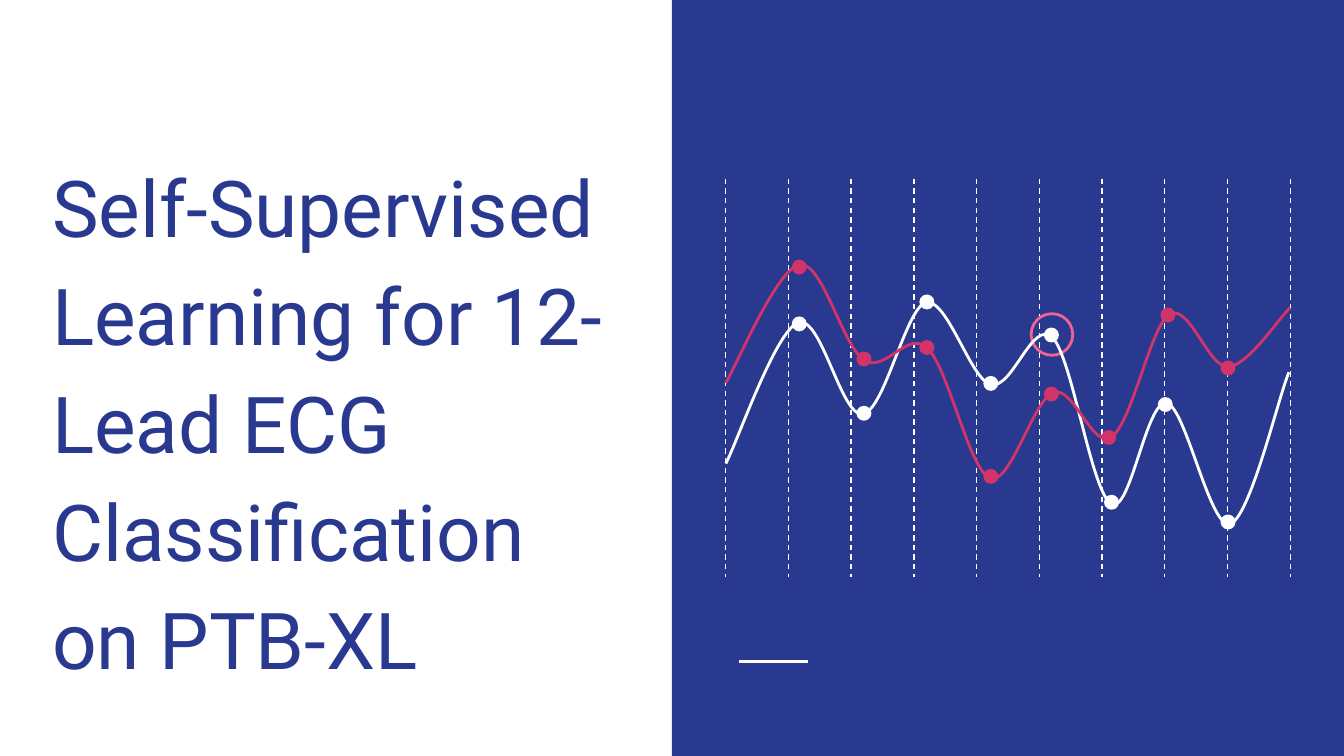
from pptx import Presentation, util as u
from pptx.dml.color import RGBColor
from pptx.enum import dml, shapes, text
from pptx.oxml import ns, xmlchemy as xml

NAVY = RGBColor(0x2A, 0x39, 0x90)
WHITE = RGBColor(0xFF, 0xFF, 0xFF)
CRIMSON = RGBColor(0xD2, 0x33, 0x69)
PINK = RGBColor(0xF0, 0x62, 0x92)

PAGE_WIDTH = 10
PAGE_HEIGHT = PAGE_WIDTH * 9 / 16
COLUMNS, ROWS = 42, 29.6
GUIDE_GAPS = 9
MARKER_SIZE, RING_SIZE = 0.09, 0.31

WHITE_CURVE = [
    (0, 21.2),
    (0.9, 19.5), (3.7, 11.3), (5.4, 10.7),
    (7.1, 10.1), (8.6, 17.8), (10.2, 17.5),
    (11.8, 17.3), (13.4, 9.6), (14.9, 9.2),
    (16.5, 8.9), (18.2, 14.9), (19.7, 15.3),
    (21.3, 15.8), (22.8, 10.4), (24.3, 11.8),
    (25.8, 13.3), (27.2, 23.4), (28.7, 24.2),
    (30.1, 25), (31.3, 16.4), (32.8, 16.7),
    (34.2, 16.9), (36, 26), (37.5, 25.7),
    (39, 25.3), (41.1, 16.3), (41.9, 14.4),
]
WHITE_MARKERS = [
    (5.47, 10.8), (10.28, 17.45), (14.96, 9.17), (19.72, 15.23),
    (24.23, 11.63), (28.7, 24.07), (32.7, 16.8), (37.37, 25.54),
]
CRIMSON_CURVE = [
    (0, 15.2),
    (0.9, 13.7), (3.8, 6.7), (5.5, 6.4),
    (7.2, 6.1), (8.7, 12.5), (10.3, 13.5),
    (11.9, 14.5), (13.5, 11.2), (15, 12.6),
    (16.6, 14.1), (18.1, 21.7), (19.7, 22.3),
    (21.2, 22.8), (22.9, 16.4), (24.4, 15.9),
    (25.9, 15.4), (27.3, 20.2), (28.7, 19.2),
    (30.2, 18.3), (31.6, 11), (33, 10.1),
    (34.5, 9.2), (35.9, 14.1), (37.4, 14),
    (38.9, 13.9), (41.2, 10.3), (42, 9.6),
]
CRIMSON_MARKERS = [
    (5.47, 6.57), (10.28, 13.41), (14.96, 12.56), (19.72, 22.15),
    (24.23, 16.02), (28.5, 19.25), (32.9, 10.14), (37.37, 14.08),
]


def place(box, column, row):
    """Return the page position of a plot grid point in EMU."""
    left, top, width, height = box
    return (u.Inches(left + width * column / COLUMNS),
            u.Inches(top + height * row / ROWS))


def add_line(parent, start, end, weight, dash=None):
    """Draw a straight white line without a shadow."""
    line = parent.shapes.add_connector(shapes.MSO_CONNECTOR.STRAIGHT, *start, *end)
    line.line.color.rgb = WHITE
    line.line.width = u.Pt(weight)
    if dash:
        line.line.dash_style = dash
    line._element.spPr.append(xml.OxmlElement("a:effectLst"))


def add_circle(parent, center, size, outline, fill=None):
    """Draw a circle around a centre point."""
    diameter = u.Inches(size)
    left, top = (value - diameter // 2 for value in center)
    circle = parent.shapes.add_shape(
        shapes.MSO_SHAPE.OVAL, left, top, diameter, diameter)
    circle.shadow.inherit = False
    circle.line.color.rgb = outline
    circle.line.width = u.Pt(1.5)
    if fill is None:
        circle.fill.background()
    else:
        circle.fill.solid()
        circle.fill.fore_color.rgb = fill


def bend(curve):
    """Turn each three line segments of an outline into one cubic curve."""
    segments = list(curve._element.iter(ns.qn("a:lnTo")))
    for first, second, last in zip(*[iter(segments)] * 3):
        cubic = xml.OxmlElement("a:cubicBezTo")
        first.addprevious(cubic)
        for segment in (first, second, last):
            cubic.append(segment[0])
            segment.getparent().remove(segment)


def add_series(page, box, points, markers, color):
    """Draw a smooth curve and its round markers as one group."""
    group = page.shapes.add_group_shape()
    start, *rest = [place(box, *point) for point in points]
    builder = group.shapes.build_freeform(*start, scale=1.0)
    builder.add_line_segments(rest, close=False)
    curve = builder.convert_to_shape()
    bend(curve)
    curve.shadow.inherit = False
    curve.fill.background()
    curve.line.color.rgb = color
    curve.line.width = u.Pt(1.5)
    for marker in markers:
        add_circle(group, place(box, *marker), MARKER_SIZE, color, color)


def add_guides(page, box):
    """Draw evenly spaced dashed guides as one group."""
    group = page.shapes.add_group_shape()
    for index in range(GUIDE_GAPS + 1):
        column = COLUMNS * index / GUIDE_GAPS
        add_line(group, place(box, column, 0), place(box, column, ROWS),
                 0.75, dml.MSO_LINE.DASH)


def add_panel(page, box):
    """Fill the panel and draw its short accent rule."""
    left, top, width, height = box
    panel = page.shapes.add_shape(
        shapes.MSO_SHAPE.RECTANGLE, *(u.Inches(value) for value in box))
    panel.shadow.inherit = False
    panel.fill.solid()
    panel.fill.fore_color.rgb = NAVY
    panel.line.fill.background()
    rule_left = left + width / 10
    rule_y = u.Inches(top + height * 7 / 8)
    add_line(page, (u.Inches(rule_left), rule_y),
             (u.Inches(rule_left + 0.51), rule_y), 1.5)


def add_title(page, box):
    """Write the title at the bottom of its box."""
    title = page.shapes.add_textbox(*(u.Inches(value) for value in box))
    frame = title.text_frame
    frame.word_wrap = True
    frame.auto_size = text.MSO_AUTO_SIZE.NONE
    frame.vertical_anchor = text.MSO_ANCHOR.BOTTOM
    frame.margin_left = frame.margin_right = u.Inches(0.1)
    frame.margin_top = frame.margin_bottom = u.Inches(0.1)
    para = frame.paragraphs[0]
    para.line_spacing = 1.15
    para.space_before = para.space_after = u.Pt(12)
    span = para.add_run()
    span.text = "Self-Supervised Learning for 12-Lead ECG Classification on PTB-XL"
    span.font.name = "Roboto"
    span.font.size = u.Pt(42)
    span.font.color.rgb = NAVY


def main():
    """Build the title slide and save it."""
    deck = Presentation()
    deck.slide_width = u.Inches(PAGE_WIDTH)
    deck.slide_height = u.Inches(PAGE_HEIGHT)
    page = deck.slides.add_slide(deck.slide_layouts[6])
    half = PAGE_WIDTH / 2
    plot = (half + 0.4, 1.33, 4.2, 2.96)
    add_panel(page, (half, 0, half, PAGE_HEIGHT))
    add_guides(page, plot)
    add_circle(page, place(plot, 24.27, 11.59), RING_SIZE, PINK)
    add_title(page, (0.29, 1.04, 4.42, 4.16))
    add_series(page, plot, WHITE_CURVE, WHITE_MARKERS, WHITE)
    add_series(page, plot, CRIMSON_CURVE, CRIMSON_MARKERS, CRIMSON)
    deck.save("out.pptx")


if __name__ == "__main__":
    main()
